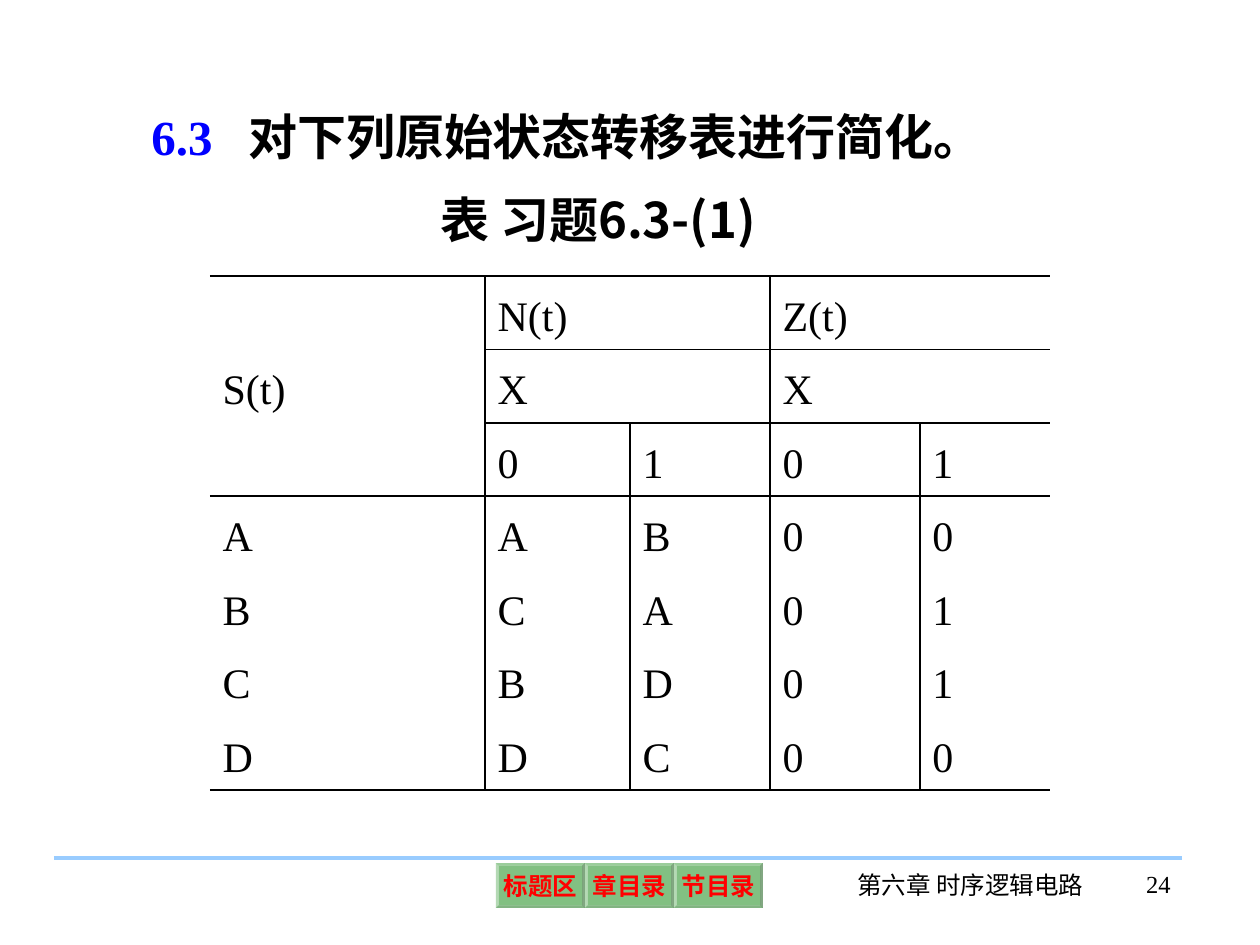
from typing import NamedTuple

from lxml.etree import SubElement
from pptx import Presentation
from pptx.dml.color import RGBColor
from pptx.enum.shapes import MSO_CONNECTOR, MSO_SHAPE
from pptx.enum.text import MSO_ANCHOR, PP_ALIGN
from pptx.oxml.ns import qn
from pptx.util import Emu, Pt

EMU_PER_PX = 914400 / 126

BLACK = RGBColor(0x00, 0x00, 0x00)
BLUE = RGBColor(0x00, 0x00, 0xFF)
RED = RGBColor(0xFF, 0x00, 0x00)
GREEN = RGBColor(0x00, 0x80, 0x00)
SKY = RGBColor(0x99, 0xCC, 0xFF)

SERIF = "Times New Roman"
SANS = "Noto Sans CJK SC"


class Box(NamedTuple):
    left: int
    top: int
    width: int
    height: int


class Run(NamedTuple):
    text: str
    size: int
    color: RGBColor = BLACK
    bold: bool = False
    font: str = SERIF


class Label(NamedTuple):
    box: Box
    runs: list[Run]
    align: PP_ALIGN = PP_ALIGN.LEFT
    tab: int = 0


class Span(NamedTuple):
    row: int
    col: int
    last_row: int
    last_col: int


def px(length: int) -> Emu:
    return Emu(round(length * EMU_PER_PX))


def emu_box(box: Box) -> list[Emu]:
    return [px(length) for length in box]


def add_run(paragraph, run: Run) -> None:
    part = paragraph.add_run()
    part.text = run.text
    part.font.size = Pt(run.size)
    part.font.bold = run.bold
    part.font.name = run.font
    part.font.color.rgb = run.color
    SubElement(part.font._element, qn("a:ea"), typeface=SANS)


def add_label(slide, label: Label) -> None:
    frame = slide.shapes.add_textbox(*emu_box(label.box)).text_frame
    frame.word_wrap = True
    paragraph = frame.paragraphs[0]
    paragraph.alignment = label.align
    if label.tab:
        stops = SubElement(paragraph._p.get_or_add_pPr(), qn("a:tabLst"))
        SubElement(stops, qn("a:tab"), pos=str(px(label.tab)), algn="l")
    for run in label.runs:
        add_run(paragraph, run)


def add_button(slide, caption: str, box: Box) -> None:
    button = slide.shapes.add_shape(MSO_SHAPE.BEVEL, *emu_box(box))
    button.adjustments[0] = 0.06
    button.shadow.inherit = False
    button.fill.solid()
    button.fill.fore_color.rgb = GREEN
    color = button._element.spPr.find(qn("a:solidFill"))[0]
    SubElement(color, qn("a:alpha"), val="49000")
    button.line.fill.background()
    frame = button.text_frame
    frame.word_wrap = False
    frame.vertical_anchor = MSO_ANCHOR.MIDDLE
    frame.margin_left = frame.margin_right = px(5)
    frame.margin_top = frame.margin_bottom = px(5)
    frame.paragraphs[0].alignment = PP_ALIGN.CENTER
    add_run(frame.paragraphs[0], Run(caption, 14, RED, True))


def add_rule(slide, left: int, right: int, y: int) -> None:
    rule = slide.shapes.add_connector(
        MSO_CONNECTOR.STRAIGHT, px(left), px(y), px(right), px(y))
    rule.line.color.rgb = SKY
    rule.line.width = Pt(2.25)
    SubElement(rule._element.spPr, qn("a:effectLst"))


def set_borders(cell, visible: dict[str, bool]) -> None:
    properties = cell._tc.get_or_add_tcPr()
    for side, shown in visible.items():
        line = SubElement(properties, qn(f"a:ln{side}"), w=str(Pt(1.08)))
        if shown:
            fill = SubElement(line, qn("a:solidFill"))
            SubElement(fill, qn("a:srgbClr"), val=str(BLACK))
        else:
            SubElement(line, qn("a:noFill"))


# State transition table
STATE_ROWS = [
    ["S(t)", "N(t)", "", "Z(t)", ""],
    ["", "X", "", "X", ""],
    ["", "0", "1", "0", "1"],
    ["A", "A", "B", "0", "0"],
    ["B", "C", "A", "0", "1"],
    ["C", "B", "D", "0", "1"],
    ["D", "D", "C", "0", "0"],
]
COLUMN_WIDTHS = [275, 145, 140, 150, 130]
TABLE_BOX = Box(210, 276, sum(COLUMN_WIDTHS), 514)
SPANS = [Span(0, 0, 2, 0)] + [
    Span(row, col, row, col + 1) for row in (0, 1) for col in (1, 3)]
HEADER_ROWS = 3


def has_line_above(row: int, col: int) -> bool:
    full_width = row in (0, HEADER_ROWS, len(STATE_ROWS))
    return full_width or (row < HEADER_ROWS and col > 0)


def has_line_before(row: int, col: int) -> bool:
    return col in (1, 3) or (row >= 2 and col in (2, 4))


def add_state_table(slide) -> None:
    table = slide.shapes.add_table(
        len(STATE_ROWS), len(COLUMN_WIDTHS), *emu_box(TABLE_BOX)).table
    table.first_row = table.horz_banding = False
    for column, width in zip(table.columns, COLUMN_WIDTHS):
        column.width = px(width)
    for span in SPANS:
        table.cell(span.row, span.col).merge(
            table.cell(span.last_row, span.last_col))
    for row, values in enumerate(STATE_ROWS):
        for col, value in enumerate(values):
            cell = table.cell(row, col)
            set_borders(cell, {
                "L": has_line_before(row, col),
                "R": has_line_before(row, col + 1),
                "T": has_line_above(row, col),
                "B": has_line_above(row + 1, col),
            })
            cell.fill.background()
            cell.vertical_anchor = MSO_ANCHOR.MIDDLE
            if value:
                paragraph = cell.text_frame.paragraphs[0]
                paragraph.line_spacing = 1.2
                add_run(paragraph, Run(value, 24))


# Text around the table
LABELS = [
    Label(Box(139, 100, 1007, 72),
          [Run("6.3\t", 28, BLUE, True),
           Run("对下列原始状态转移表进行简化。", 28, bold=True)], tab=97),
    Label(Box(428, 183, 401, 72),
          [Run("表 习题6.3-(1)", 28, bold=True, font=SANS)]),
    Label(Box(839, 864, 263, 63),
          [Run("第六章 时序逻辑电路", 14)], PP_ALIGN.CENTER),
    Label(Box(1075, 863, 108, 63), [Run("24", 14)], PP_ALIGN.RIGHT),
]

# Navigation buttons
BUTTON_CAPTIONS = ["标题区", "章目录", "节目录"]
FIRST_BUTTON = Box(496, 863, 89, 45)


def main() -> None:
    presentation = Presentation()
    presentation.slide_width = px(1260)
    presentation.slide_height = px(945)
    slide = presentation.slides.add_slide(presentation.slide_layouts[6])

    add_rule(slide, 54, 1182, 858)
    add_state_table(slide)
    for label in LABELS:
        add_label(slide, label)
    for index, caption in enumerate(BUTTON_CAPTIONS):
        left = FIRST_BUTTON.left + index * FIRST_BUTTON.width
        add_button(slide, caption, FIRST_BUTTON._replace(left=left))

    presentation.save("out.pptx")


if __name__ == "__main__":
    main()
